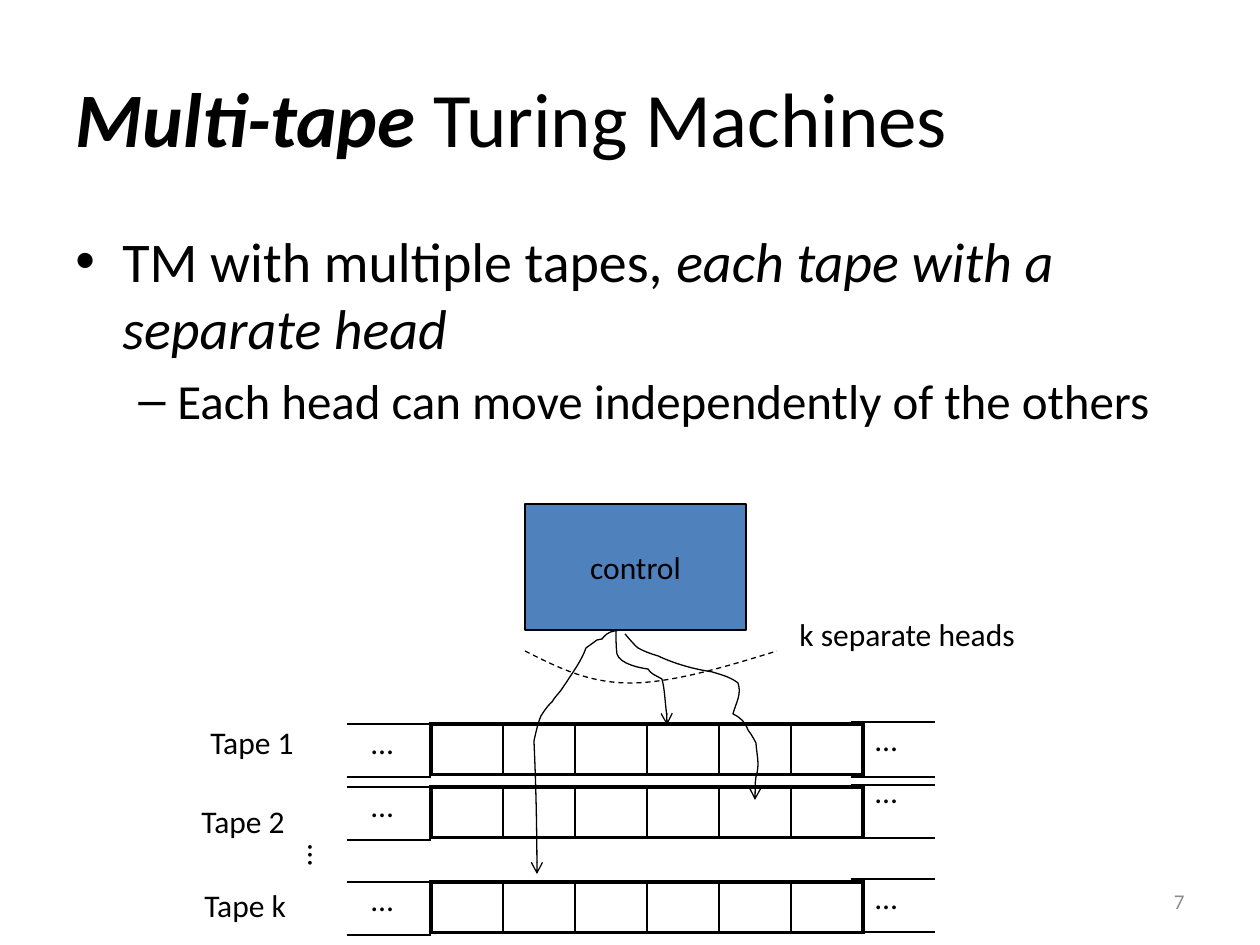
import pptx
import pptx.util
import pptx.dml.color
import pptx.enum.dml
import pptx.enum.shapes
import pptx.enum.text
import pptx.oxml
import pptx.oxml.ns
from lxml import etree

PX = 914400 // 126
FONT = "Calibri"
BLACK, BLUE, GREY = "000000", "4F81BD", "8C8C8C"
ALIGN = pptx.enum.text.PP_ALIGN
ANCHOR = pptx.enum.text.MSO_ANCHOR

# Each paragraph: runs of (text, format), then paragraph settings
TITLE = [([("Multi-tape", {"bold": True, "italic": True}),
           (" Turing Machines", {})], {})]
BODY = [
    ([("TM with multiple tapes, ", {}),
      ("each tape with a separate head", {"italic": True})],
     {"bullet": "\u2022", "indent": (47, -47), "before": 6.4}),
    ([("Each head can move independently of the others",
       {"size": pptx.util.Pt(28)})],
     {"bullet": "\u2013", "indent": (102, -39), "before": 5.6, "level": 1}),
]

# Box (left, top, width, height), paragraphs, size, colour, alignment, anchor
TEXTS = [
    ((63, 38, 1134, 157), TITLE, 44, BLACK, ALIGN.LEFT, ANCHOR.MIDDLE),
    ((63, 220, 1134, 624), BODY, 32, BLACK, ALIGN.LEFT, ANCHOR.TOP),
    ((903, 876, 294, 50), "7", 12, GREY, ALIGN.RIGHT, ANCHOR.MIDDLE),
]
LABELS = [
    ((198, 717, 135, 54), "Tape 1"),
    ((189, 796, 135, 54), "Tape 2"),
    ((192, 880, 132, 54), "Tape k"),
    ((787, 609, 294, 54), "k separate heads"),
]
CONTROL = (525, 504, 221, 126)

# Tape top, left edge lines, right edge lines, top of left and right dots
TAPES = [
    (724, (724, 787), (722, 785), 717, 714),
    (787, (777, 840), (777, 838), 780, 766),
    (882, (882, 935), (879, 932), 874, 872),
]
TAPE_LEFT, CELL_W, CELL_H, CELLS = 431, 72, 50, 6
LEFT_EDGE, RIGHT_EDGE, EDGE_W = 347, 851, 84
LEFT_DOTS, RIGHT_DOTS, DOTS_SIZE = 359, 863, (60, 54)

# Start point, then three points for each Bezier segment
HEADS = [
    [(616, 630), (616, 638), (616, 646), (617, 654), (620, 664), (640, 668),
     (648, 669), (651, 674), (655, 675), (662, 679), (665, 690), (665, 703),
     (667, 716), (665, 723), (663, 721), (667, 725)],
    [(625, 634), (626, 635), (634, 645), (638, 648), (643, 651), (651, 654),
     (658, 656), (675, 664), (693, 669), (712, 672), (722, 675), (730, 677),
     (738, 683), (742, 694), (736, 703), (733, 714), (741, 718), (745, 722),
     (748, 730), (752, 735), (756, 743), (756, 743), (757, 757), (760, 764),
     (756, 777), (755, 785), (755, 800), (755, 800)],
    [(620, 630), (615, 631), (611, 631), (607, 634), (605, 635), (603, 638),
     (602, 639), (600, 640), (599, 639), (597, 640), (593, 643), (586, 648),
     (586, 648), (582, 660), (573, 672), (566, 683), (561, 690), (563, 688),
     (558, 694), (556, 697), (553, 699), (552, 702), (547, 706), (541, 716),
     (541, 716), (538, 723), (536, 732), (534, 741), (536, 785), (537, 830),
     (537, 874)],
]
ARC = [(525, 651), (557, 667), (588, 683), (630, 683), (672, 683), (725, 667),
       (777, 651)]


def rgb(value):
    """Return a colour from a hex string."""
    return pptx.dml.color.RGBColor.from_string(value)


def emu(*lengths):
    """Turn pixel lengths into EMU."""
    return [round(n * PX) for n in lengths]


def sub(parent, tag, **attrs):
    """Append a DrawingML element to its parent."""
    return etree.SubElement(parent, pptx.oxml.ns.qn(tag), attrs)


def fill_text(tf, paras, size, color=BLACK, align=ALIGN.LEFT, anchor=ANCHOR.TOP):
    """Write paragraphs, or one plain string, into a text frame."""
    if isinstance(paras, str):
        paras = [([(paras, {})], {})]
    tf.word_wrap, tf.vertical_anchor = True, anchor
    for i, (runs, look) in enumerate(paras):
        p = tf.add_paragraph() if i else tf.paragraphs[0]
        p.alignment, p.level = align, look.get("level", 0)
        if "bullet" in look:
            p.space_before = pptx.util.Pt(look["before"])
            pPr = p._p.get_or_add_pPr()
            for key, value in zip(("marL", "indent"), emu(*look["indent"])):
                pPr.set(key, str(value))
            sub(pPr, "a:buFont", typeface="Arial")
            sub(pPr, "a:buChar", char=look["bullet"])
        for text, extra in runs:
            r = p.add_run()
            r.text = text
            r.font.color.rgb = rgb(color)
            fmt = {"name": FONT, "size": pptx.util.Pt(size), **extra}
            for key, value in fmt.items():
                setattr(r.font, key, value)


def add_text(s, box, paras, size=18, *style):
    """Add a text box and return it."""
    sp = s.shapes.add_textbox(*emu(*box))
    fill_text(sp.text_frame, paras, size, *style)
    return sp


def add_line(s, x, y, width):
    """Add a thin horizontal line."""
    line = s.shapes.add_connector(pptx.enum.shapes.MSO_CONNECTOR.STRAIGHT,
                                  *emu(x, y, x + width, y))
    line.line.color.rgb = rgb(BLACK)
    line.line.width = pptx.util.Pt(0.75)
    sub(line._element.spPr, "a:effectLst")


def add_curve(s, points, arrow=False, dash=False):
    """Add an open Bezier curve."""
    builder = s.shapes.build_freeform(*points[0], scale=PX)
    builder.add_line_segments(points[1:], close=False)
    sp = builder.convert_to_shape()
    sp.shadow.inherit = False
    sp.fill.background()
    sp.line.color.rgb = rgb(BLACK)
    sp.line.width = pptx.util.Pt(0.75)
    if dash:
        sp.line.dash_style = pptx.enum.dml.MSO_LINE.DASH
    if arrow:
        sub(sp.line._get_or_add_ln(), "a:tailEnd", type="arrow")
    steps = list(sp._element.iter(pptx.oxml.ns.qn("a:lnTo")))
    outline = steps[0].getparent()
    for i in range(0, len(steps), 3):
        curve = sub(outline, "a:cubicBezTo")
        for step in steps[i:i + 3]:
            curve.append(step[0])
            outline.remove(step)


def add_tape(s, top):
    """Add one tape as a single-row table with a heavy outer border."""
    frame = s.shapes.add_table(1, CELLS, *emu(TAPE_LEFT, top, CELL_W * CELLS, CELL_H))
    table = frame.table
    table.first_row = table.horz_banding = False
    for i, cell in enumerate(table.rows[0].cells):
        table.columns[i].width = emu(CELL_W)[0]
        tcPr = cell._tc.get_or_add_tcPr()
        widths = {"L": 1 if i else 2.25, "R": 1 if i < CELLS - 1 else 2.25,
                  "T": 2.25, "B": 2.25}
        for side, width in widths.items():
            ln = sub(tcPr, "a:ln" + side, w=str(pptx.util.Pt(width)))
            sub(sub(ln, "a:solidFill"), "a:srgbClr", val=BLACK)
        cell.fill.background()


def build():
    """Build the slide and save it."""
    prs = pptx.Presentation()
    prs.slide_width, prs.slide_height = emu(1260, 945)
    s = prs.slides.add_slide(prs.slide_layouts[6])
    for text in TEXTS:
        add_text(s, *text)
    sp = s.shapes.add_shape(pptx.enum.shapes.MSO_SHAPE.RECTANGLE, *emu(*CONTROL))
    sp.shadow.inherit = False
    sp.fill.solid()
    sp.fill.fore_color.rgb = rgb(BLUE)
    sp.line.color.rgb = rgb(BLACK)
    sp.line.width = pptx.util.Pt(0.75)
    fill_text(sp.text_frame, "control", 18, BLACK, ALIGN.CENTER, ANCHOR.MIDDLE)
    for top, left_lines, right_lines, left_dots, right_dots in TAPES:
        add_tape(s, top)
        for x, ys, dots_x, dots_y in ((LEFT_EDGE, left_lines, LEFT_DOTS, left_dots),
                                      (RIGHT_EDGE, right_lines, RIGHT_DOTS, right_dots)):
            add_text(s, (dots_x, dots_y, *DOTS_SIZE), "\u2026")
            for y in ys:
                add_line(s, x, y, EDGE_W)
    for head in HEADS:
        add_curve(s, head, arrow=True)
    for label in LABELS:
        add_text(s, *label)
    add_text(s, (289, 835, *DOTS_SIZE), "\u2026").rotation = 90
    add_curve(s, ARC, dash=True)
    prs.save("out.pptx")


build()
